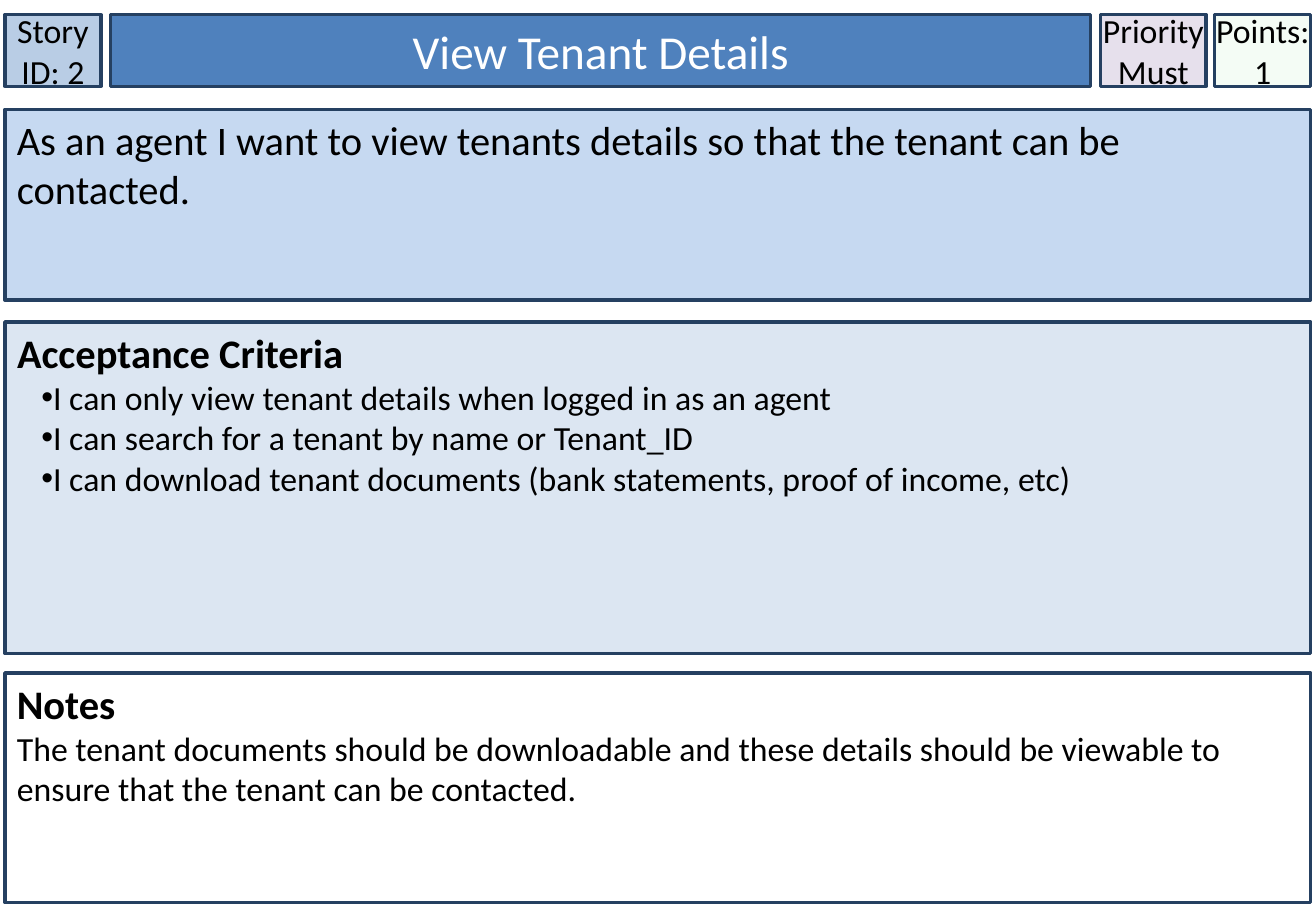
"""Build a user story card for viewing tenant details."""
from dataclasses import dataclass

from lxml import etree
from pptx import Presentation
from pptx import util as u
from pptx.dml import color
from pptx.enum import shapes, text
from pptx.oxml import ns

COLOURS = {
    "outline": "254061", "ink": "000000", "white": "FFFFFF",
    "id": "B9CDE5", "title": "4F81BD", "priority": "E6E0EC", "points": "CCF0CD",
    "story": "C6D9F1", "criteria": "DCE6F2", "notes": "FFFFFF",
}
FONT = "Calibri"
LEFT, WIDTH = 2.88, 774
TOP, HEADER_HEIGHT = 8.64, 42.48
TITLE, BODY = 0, 1


@dataclass(frozen=True)
class Line:
    """One paragraph of a card."""
    words: str
    size: float = 20
    bold: bool = False
    bullet: bool = False


@dataclass(frozen=True)
class Card:
    """One outlined rectangle with its text."""
    fill: str
    left: float
    top: float
    width: float
    height: float
    lines: tuple[Line, ...]
    header: bool = False
    side_inset: float = 7.2
    wrap: bool = True
    ink: str = "ink"
    opacity: int = 100
    placeholder: int | None = None


def header(fill: str, left: float, width: float, *lines: Line,
           side_inset: float = 0, **options) -> Card:
    """Describe a centred card in the top row."""
    return Card(fill, left, TOP, width, HEADER_HEIGHT, lines,
                header=True, side_inset=side_inset, **options)


def panel(fill: str, top: float, height: float, *lines: Line, **options) -> Card:
    """Describe a full-width card."""
    return Card(fill, LEFT, top, WIDTH, height, lines, **options)


CARDS = (
    header("title", 65.52, 581.04, Line("View Tenant Details", 28),
           side_inset=7.2, ink="white", placeholder=TITLE),
    panel("criteria", 190.8, 196.56,
          Line("Acceptance Criteria", 24, bold=True),
          Line("I can only view tenant details when logged in as an agent", bullet=True),
          Line("I can search for a tenant by name or Tenant_ID", bullet=True),
          Line("I can download tenant documents (bank statements, proof of income, etc)",
               bullet=True),
          placeholder=BODY),
    header("id", LEFT, 56.88, Line("Story ID: 2")),
    panel("story", 64.8, 113.04,
          Line("As an agent I want to view tenants details so that "
               "the tenant can be contacted.", 24)),
    header("points", 720, 56.88, Line("Points:"), Line("1"), opacity=20),
    header("priority", 652.32, 62.64, Line("Priority"), Line("Must"), wrap=False),
    panel("notes", 398.88, 136.08,
          Line("Notes", 24, bold=True),
          Line("The tenant documents should be downloadable and these details should be "
               "viewable to ensure that the tenant can be contacted.")),
)


def rgb(name: str) -> color.RGBColor:
    """Look up a named colour."""
    return color.RGBColor.from_string(COLOURS[name])


def set_bullet(para, bullet: bool) -> None:
    """Set the indent and bullet of a paragraph."""
    properties = para._p.get_or_add_pPr()
    properties.set("marL", "0")
    properties.set("indent", str(u.Pt(14.4) if bullet else 0))
    if bullet:
        etree.SubElement(properties, ns.qn("a:buFont")).set("typeface", "Arial")
        etree.SubElement(properties, ns.qn("a:buChar")).set("char", "•")
    else:
        etree.SubElement(properties, ns.qn("a:buNone"))


def write_line(para, line: Line, card: Card) -> None:
    """Write one paragraph as a formatted run."""
    set_bullet(para, line.bullet)
    para.alignment = text.PP_ALIGN.CENTER if card.header else text.PP_ALIGN.LEFT
    para.space_before = u.Pt(0)
    span = para.add_run()
    span.text = line.words
    span.font.name = FONT
    span.font.size = u.Pt(line.size)
    span.font.bold = line.bold
    span.font.color.rgb = rgb(card.ink)


def paint(box, card: Card) -> None:
    """Set the fill, outline and shadow of a card."""
    box.shadow.inherit = False
    box.fill.solid()
    box.fill.fore_color.rgb = rgb(card.fill)
    if card.opacity < 100:
        tint = box._element.spPr.find(ns.qn("a:solidFill"))[0]
        etree.SubElement(tint, ns.qn("a:alpha")).set("val", str(card.opacity * 1000))
    box.line.color.rgb = rgb("outline")
    box.line.width = u.Pt(2)


def draw_card(page, card: Card) -> None:
    """Place a card on the page and fill in its text."""
    area = [u.Pt(n) for n in (card.left, card.top, card.width, card.height)]
    if card.placeholder is None:
        box = page.shapes.add_shape(shapes.MSO_SHAPE.RECTANGLE, *area)
    else:
        box = page.placeholders[card.placeholder]
        box.left, box.top, box.width, box.height = area
    paint(box, card)
    frame = box.text_frame
    frame.auto_size = text.MSO_AUTO_SIZE.NONE
    frame.word_wrap = card.wrap
    frame.vertical_anchor = text.MSO_ANCHOR.MIDDLE if card.header else text.MSO_ANCHOR.TOP
    frame.margin_left = frame.margin_right = u.Pt(card.side_inset)
    frame.margin_top = frame.margin_bottom = u.Pt(3.6)
    for index, line in enumerate(card.lines):
        para = frame.add_paragraph() if index else frame.paragraphs[0]
        write_line(para, line, card)


def main() -> None:
    """Build and save the deck."""
    deck = Presentation()
    deck.slide_width, deck.slide_height = u.Pt(780), u.Pt(540)
    page = deck.slides.add_slide(deck.slide_layouts[1])
    for card in CARDS:
        draw_card(page, card)
    deck.save("out.pptx")


if __name__ == "__main__":
    main()
